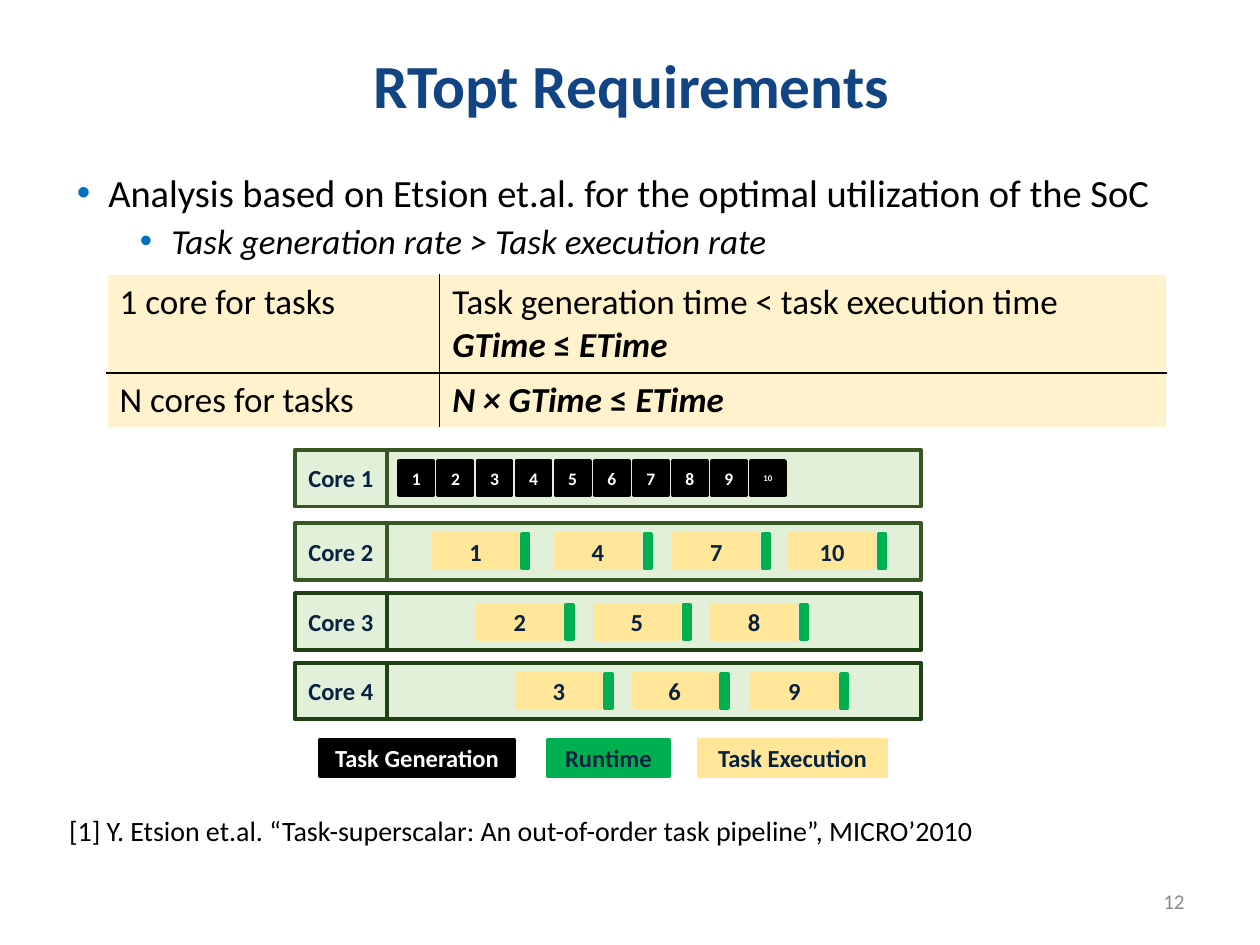
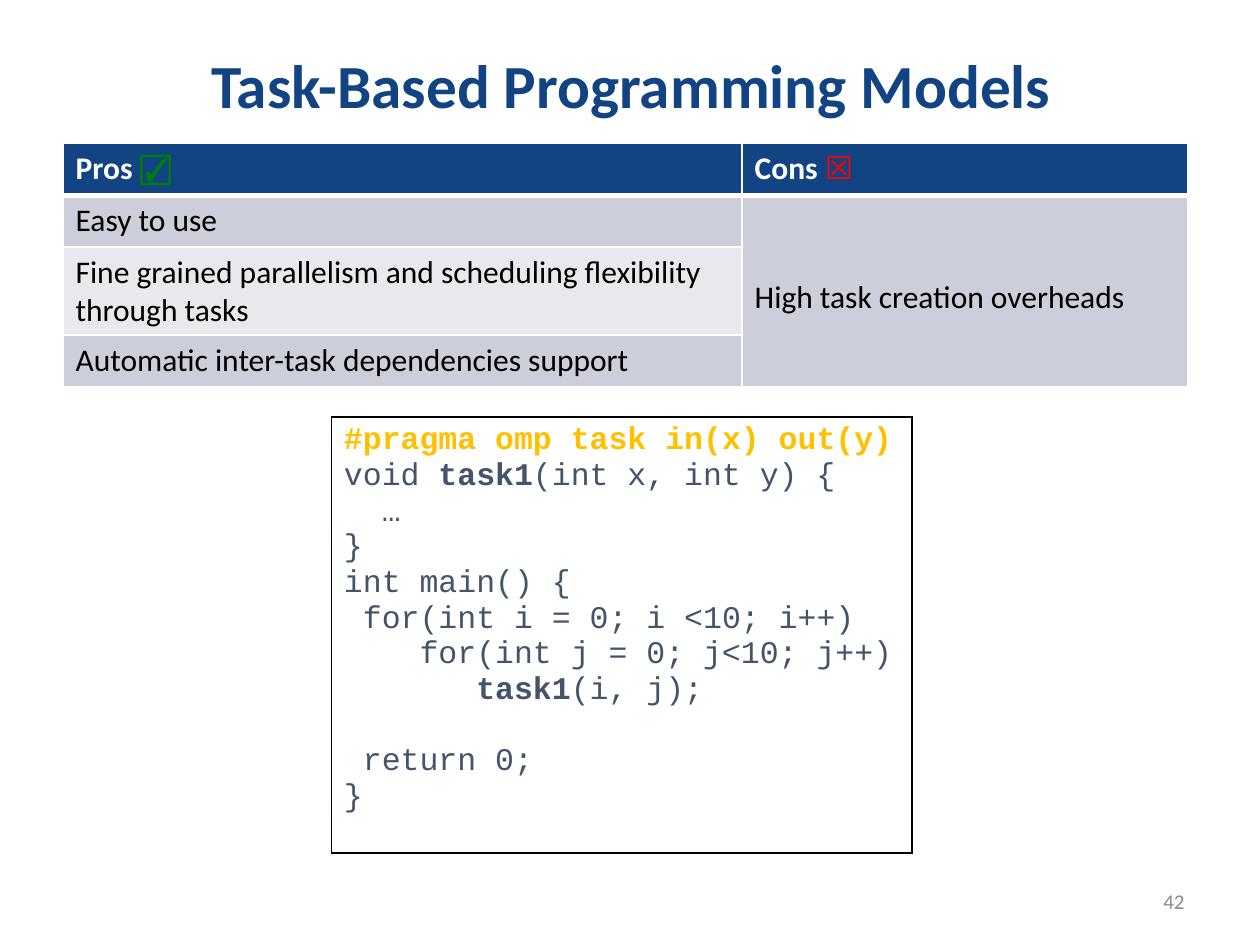
"""Build two slides about task generation and task-based programming models."""
from lxml.etree import SubElement
from pptx import Presentation
from pptx.dml.color import RGBColor
from pptx.enum.shapes import MSO_SHAPE as Shape
from pptx.enum.text import MSO_ANCHOR as Anchor, MSO_AUTO_SIZE as AutoSize, PP_ALIGN as Align
from pptx.oxml import parse_xml
from pptx.oxml.ns import nsdecls, qn
from pptx.util import Inches, Pt

BLUE, NAVY, SLATE, GOLD = "124484", "092242", "44546A", "FFC000"
BLACK, WHITE, GREY = "000000", "FFFFFF", "8C8C8C"
GREEN, SAND, MINT, CREAM = "00B050", "FFE699", "E2F0D9", "FFF2CC"
MOSS, FOREST, BAND, PALE = "385723", "1F4113", "CCCFD9", "E7E9ED"


def tint(code):
    return RGBColor.from_string(code)


def write(para, text, size=18, color=BLACK, font="Calibri", bold=False, italic=False):
    span = para.add_run()
    span.text = text
    span.font.name, span.font.size = font, Pt(size)
    span.font.bold, span.font.italic = bold, italic
    span.font.color.rgb = tint(color)


deck = Presentation()
deck.slide_width, deck.slide_height = Inches(10), Inches(7.5)
UNIT = deck.slide_width // 100

pages = []
for layout, title, number in [(1, "RTopt Requirements", "12"),
                              (5, "Task-Based Programming Models", "42")]:
    page = deck.slides.add_slide(deck.slide_layouts[layout])
    pages.append(page)
    head = page.shapes.title
    head.left, head.top, head.width, head.height = [int(n * UNIT) for n in (5.1, 2.4, 90, 9.2)]
    frame = head.text_frame
    frame.vertical_anchor, frame.auto_size = Anchor.MIDDLE, AutoSize.NONE
    para = frame.paragraphs[0]
    para.alignment, para.line_spacing = Align.CENTER, 0.9
    write(para, title, size=35, color=BLUE, bold=True)

    box = page.shapes.add_textbox(*[int(n * UNIT) for n in (71.7, 69.5, 23.3, 4)])
    box.text_frame.word_wrap, box.text_frame.vertical_anchor = True, Anchor.MIDDLE
    para = box.text_frame.paragraphs[0]
    para.alignment = Align.RIGHT
    write(para, number, size=12, color=GREY)

requirements, models = pages

body = requirements.placeholders[1]
body.left, body.top, body.width, body.height = [int(n * UNIT) for n in (5.1, 13.3, 92.2, 8.3)]
frame = body.text_frame
frame.auto_size = AutoSize.NONE
points = ["Analysis based on Etsion et.al. for the optimal utilization of the SoC",
          "Task generation rate > Task execution rate"]
for level, point in enumerate(points):
    para = frame.add_paragraph() if level else frame.paragraphs[0]
    para.level, para.line_spacing, para.space_before = level, 0.9, Pt(10 - 5 * level)
    write(para, point, size=22 - 2 * level, italic=level == 1)
    props = para._p.get_or_add_pPr()
    props.set("marL", str(Inches(0.25 + 0.5 * level)))
    props.set("indent", str(Inches(-0.25)))
    SubElement(SubElement(props, qn("a:buClr")), qn("a:srgbClr"), val="0070C0")
    SubElement(props, qn("a:buFont"), typeface="Arial")
    SubElement(props, qn("a:buChar"), char="•")

lanes = list(zip((35.7, 41.5, 47.1, 52.6), (MOSS, MOSS, FOREST, FOREST)))
blocks = [((30.7, top, 42.4, 4.5), MINT, edge, "", 14, NAVY) for top, edge in lanes]
blocks += [((23.4, top, 7.3, 4.5), MINT, edge, f"Core {core}", 14, NAVY)
           for core, (top, edge) in enumerate(lanes, 1)]
blocks += [((31.7 + 3.1 * slot, 36.6, 2.7, 2.7), BLACK, BLACK, str(slot + 1),
            5 if slot == 9 else 10, WHITE) for slot in range(10)]
starts = [(34.4, 44.1, 53.5, 62.7), (37.9, 47.2, 56.5), (41, 50.2, 59.7)]
for first, (lefts, (top, edge)) in enumerate(zip(starts, lanes[1:]), 1):
    for turn, left in enumerate(lefts):
        blocks.append(((left, top + 0.9, 6.7, 2.7), SAND, SAND, str(first + 3 * turn), 14, NAVY))
        blocks.append(((left + 7.05, top + 0.9, 0.5, 2.7), GREEN, GREEN, "", 14, NAVY))
for left, width, fill, label, color in [(25.4, 15.4, BLACK, "Task Generation", WHITE),
                                        (43.5, 9.6, GREEN, "Runtime", NAVY),
                                        (55.5, 14.8, SAND, "Task Execution", NAVY)]:
    blocks.append(((left, 58.7, width, 2.9), fill, fill, label, 14, color))

for place, fill, edge, label, size, color in blocks:
    box = requirements.shapes.add_shape(Shape.RECTANGLE, *[int(n * UNIT) for n in place])
    box.shadow.inherit = False
    box.fill.solid()
    box.fill.fore_color.rgb = tint(fill)
    box.line.color.rgb, box.line.width = tint(edge), Pt(2.25)
    if label:
        frame = box.text_frame
        frame.margin_left = frame.margin_right = frame.margin_top = frame.margin_bottom = 0
        frame.word_wrap, frame.vertical_anchor = False, Anchor.MIDDLE
        frame.paragraphs[0].alignment = Align.CENTER
        write(frame.paragraphs[0], label, size=size, color=color, bold=True)

box = requirements.shapes.add_textbox(*[int(n * UNIT) for n in (4.5, 64.4, 92.2, 4.2)])
box.text_frame.word_wrap = True
para = box.text_frame.paragraphs[0]
para.line_spacing, para.space_before = 0.9, Pt(10)
write(para, "[1] Y. Etsion et.al. “Task-superscalar: An out-of-order task pipeline”, MICRO’2010", size=16)

plain = dict(size=20)
strong = dict(size=20, bold=True)
slanted = dict(size=20, bold=True, italic=True)
code = dict(font="Courier New", color=SLATE)
call = dict(code, bold=True)
pragma = dict(call, color=GOLD)
heading = dict(color=WHITE, bold=True)

program = [
    (0, 0, [("#pragma omp task in(x) out(y)", pragma)]),
    (0, 0, [("void ", code), ("task1", call), ("(int x, int y) {", code)]),
    (2, 0, [("…", code)]),
    (0, 0, [("}", code)]),
    (0, 0, [("int main() {", code)]),
    (1, 0, [("for(int i = 0; i <10; i++)", code)]),
    (4, 0, [("for(int j = 0; j<10; j++)", code)]),
    (7, 0, [("task1", call), ("(i, j);", code)]),
    (1, 20.4, [("return 0;", code)]),
    (0, 0, [("}", code)]),
]
rates = [
    [(CREAM, [(0, 0, [("1 core for tasks", plain)])]),
     (CREAM, [(0, 0, [("Task generation time < task execution time", plain)]),
              (0, 0, [("GTime", slanted), (" ≤ ", strong), ("ETime", slanted)])])],
    [(CREAM, [(0, 0, [("N cores for tasks", plain)])]),
     (CREAM, [(0, 0, [("N × GTime", slanted), (" ≤ ", strong), ("ETime", slanted)])])],
]
balance = [
    [(BLUE, [(0, 0, [("Pros ", heading), ("☑", dict(heading, color="008000"))])]),
     (BLUE, [(0, 0, [("Cons ", heading), ("☒", dict(heading, color="FF0000"))])])],
    [(BAND, [(0, 0, [("Easy to use", {})])]),
     (BAND, [(0, 0, [("High task creation overheads", {})])])],
    [(PALE, [(0, 0, [("Fine grained parallelism and scheduling flexibility through tasks", {})])]),
     (BAND, [])],
    [(BAND, [(0, 0, [("Automatic inter-task dependencies support", {})])]), (BAND, [])],
]

tables = [
    (requirements, 8.5, 21.8, (26.4, 57.7), (7.8, 4.3), rates, BLACK, WHITE, 1),
    (models, 26.3, 33.1, (46.1,), (34.6,), [[(WHITE, program)]], BLACK, BLACK, 1),
    (models, 5, 11.4, (53.9, 35.4), (4.1, 4.1, 7, 4.1), balance, WHITE, WHITE, 3),
]
for page, left, top, widths, heights, rows, inner, outer, rule in tables:
    place = (left, top, sum(widths), sum(heights))
    table = page.shapes.add_table(len(rows), len(widths), *[int(n * UNIT) for n in place]).table
    table.first_row = table.horz_banding = False
    for column, width in zip(table.columns, widths):
        column.width = int(width * UNIT)
    for line, height in zip(table.rows, heights):
        line.height = int(height * UNIT)
    for r, row in enumerate(rows):
        for c, (fill, lines) in enumerate(row):
            cell = table.cell(r, c)
            cell.fill.solid()
            cell.fill.fore_color.rgb = tint(fill)
            for n, (indent, gap, spans) in enumerate(lines):
                para = cell.text_frame.add_paragraph() if n else cell.text_frame.paragraphs[0]
                para.space_before = Pt(gap)
                para._p.get_or_add_pPr().set("marL", str(Inches(0.15 * indent)))
                for text, style in spans:
                    write(para, text, **style)
            edges = [("L", c > 0, 1), ("R", c < len(widths) - 1, 1),
                     ("T", r > 0, rule if r == 1 else 1),
                     ("B", r < len(rows) - 1, rule if r == 0 else 1)]
            for n, (side, inside, weight) in enumerate(edges):
                cell._tc.get_or_add_tcPr().insert(n, parse_xml(
                    f'<a:ln{side} {nsdecls("a")} w="{Pt(weight)}"><a:solidFill>'
                    f'<a:srgbClr val="{inner if inside else outer}"/></a:solidFill></a:ln{side}>'))

overheads = table.cell(1, 1)
overheads.merge(table.cell(3, 1))
overheads.vertical_anchor, overheads.margin_top = Anchor.MIDDLE, Inches(0.15)

deck.save("out.pptx")
